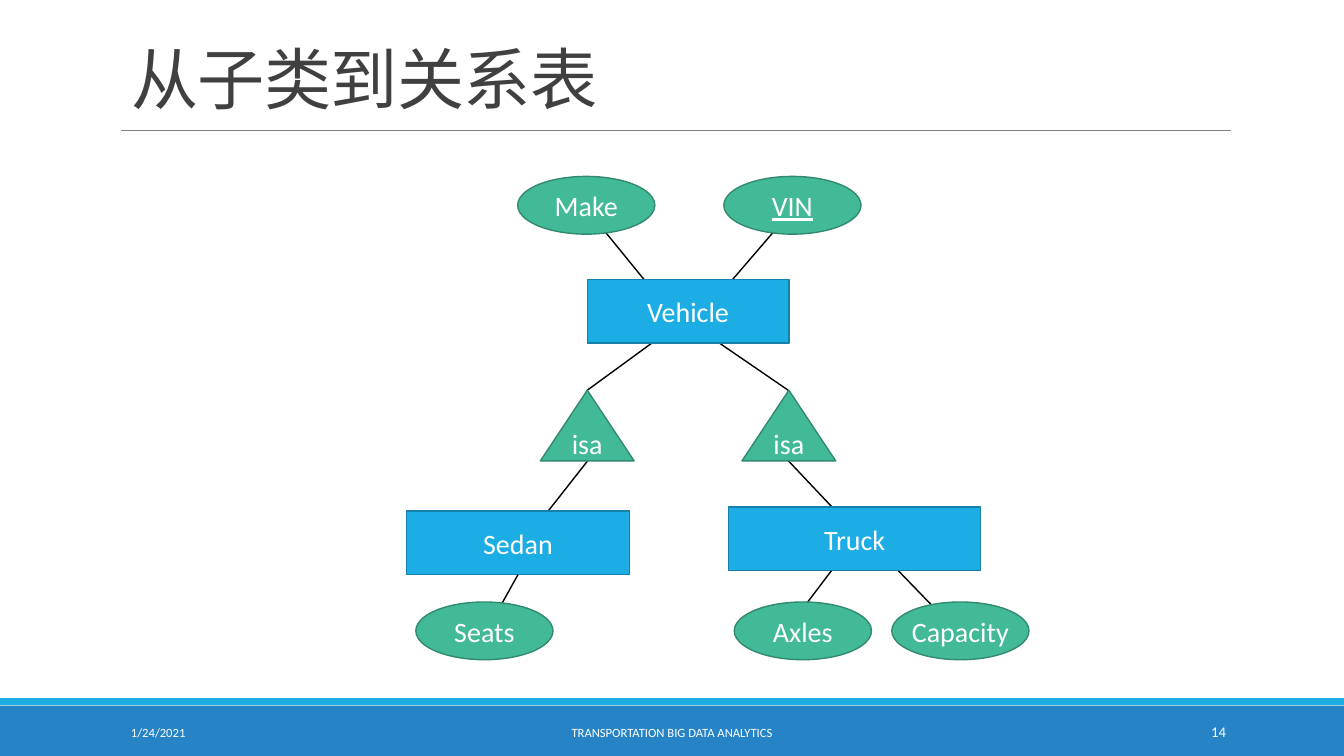
import pptx
import pptx.dml.color
import pptx.enum.shapes
import pptx.enum.text
import pptx.util
from lxml import etree
from pptx.oxml.ns import qn

Pt = pptx.util.Pt
SHAPES = pptx.enum.shapes.MSO_SHAPE
ALIGN = pptx.enum.text.PP_ALIGN
ANCHOR = pptx.enum.text.MSO_ANCHOR

SLIDE_W, SLIDE_H = 960, 540
BLUE, BLUE_EDGE = "1CADE4", "1580A9"
GREEN, GREEN_EDGE = "42BA97", "318A70"
FOOTER_BLUE, WHITE, BLACK = "2683C6", "FFFFFF", "000000"

ENTITY_H = 45.5
ATTRIBUTE_W, ATTRIBUTE_H = 98, 41.25
ISA_W, ISA_H, ISA_TOP = 67, 50.5, 278.75
TOP_ROW, BOTTOM_ROW = 126, 430

# name, left, top, width
ENTITIES = [("Sedan", 290.25, 365, 159.5), ("Truck", 520.5, 362.25, 180),
            ("Vehicle", 419.5, 199.5, 144)]
# name, left, top, is key
ATTRIBUTES = [("Make", 369.75, TOP_ROW, False), ("VIN", 517, TOP_ROW, True),
              ("Seats", 297, BOTTOM_ROW, False), ("Axles", 524.5, BOTTOM_ROW, False),
              ("Capacity", 637, BOTTOM_ROW, False)]
ISA_LEFTS = [386, 530]
# Each link runs on beneath the shapes it joins
LINKS = [((475, 218), (420, 150.5)), ((507.5, 218), (563, 153.5)),
         ((489, 228), (419.5, 278.75)), ((489, 228), (563, 278.75)),
         ((419.5, 329.5), (370, 392.5)), ((563, 329), (614, 383)),
         ((605, 393), (569, 440.5)), ((627, 392.5), (687, 454.5))]
SEATS_LINK = ((370, 410.5), (345.5, 454.5))


def rgb(hex_color):
    return pptx.dml.color.RGBColor.from_string(hex_color)


def add_run(paragraph, text, size, color=WHITE, underline=False):
    run = paragraph.add_run()
    run.text = text
    run.font.size = Pt(size)
    run.font.name = "Calibri"
    run.font.color.rgb = rgb(color)
    if underline:
        run.font.underline = True
    return run


def add_block(slide, kind, left, top, width, height, fill, edge=None):
    block = slide.shapes.add_shape(kind, Pt(left), Pt(top), Pt(width), Pt(height))
    block.shadow.inherit = False
    block.fill.solid()
    block.fill.fore_color.rgb = rgb(fill)
    if edge:
        block.line.color.rgb = rgb(edge)
        block.line.width = Pt(1)
    else:
        block.line.fill.background()
    return block


def add_node(slide, kind, name, bounds, fill, edge, underline=False):
    """Add a diagram shape with its name centred on one line."""
    node = add_block(slide, kind, *bounds, fill, edge)
    frame = node.text_frame
    frame.word_wrap = False
    frame.vertical_anchor = ANCHOR.MIDDLE
    label = frame.paragraphs[0]
    label.alignment = ALIGN.CENTER
    add_run(label, name, 20, underline=underline)
    return node


def add_line(slide, start, end, color=BLACK, width=1):
    line = slide.shapes.add_connector(
        pptx.enum.shapes.MSO_CONNECTOR.STRAIGHT, *map(Pt, start + end))
    line.line.color.rgb = rgb(color)
    line.line.width = Pt(width)
    etree.SubElement(line.element.spPr, qn("a:effectLst"))
    return line


def add_footer_text(slide, text, left, width, alignment, size=9):
    box = slide.shapes.add_textbox(Pt(left), Pt(508.5), Pt(width), Pt(28.75))
    frame = box.text_frame
    frame.word_wrap = True
    frame.vertical_anchor = ANCHOR.MIDDLE
    frame.paragraphs[0].alignment = alignment
    add_run(frame.paragraphs[0], text, size)


def set_title(slide, text):
    title = slide.shapes.title
    title.left, title.top, title.width, title.height = map(Pt, (86.5, 9.5, 792, 78.5))
    frame = title.text_frame
    frame.word_wrap = True
    frame.auto_size = pptx.enum.text.MSO_AUTO_SIZE.NONE
    frame.vertical_anchor = ANCHOR.BOTTOM
    heading = frame.paragraphs[0]
    heading.alignment = ALIGN.LEFT
    heading.line_spacing = 0.85
    run = add_run(heading, text, 48, "404040")
    run.font._element.set("spc", "-50")


def add_diagram(slide):
    for start, end in LINKS:
        add_line(slide, start, end)
    for left in ISA_LEFTS:
        add_node(slide, SHAPES.ISOSCELES_TRIANGLE, "isa",
                 (left, ISA_TOP, ISA_W, ISA_H), GREEN, GREEN_EDGE)
    entities = {}
    for name, left, top, width in ENTITIES:
        entities[name] = add_node(slide, SHAPES.RECTANGLE, name,
                                  (left, top, width, ENTITY_H), BLUE, BLUE_EDGE)
    add_line(slide, *SEATS_LINK).begin_connect(entities["Sedan"], 2)
    for name, left, top, is_key in ATTRIBUTES:
        add_node(slide, SHAPES.OVAL, name, (left, top, ATTRIBUTE_W, ATTRIBUTE_H),
                 GREEN, GREEN_EDGE, underline=is_key)


def main():
    deck = pptx.Presentation()
    deck.slide_width, deck.slide_height = Pt(SLIDE_W), Pt(SLIDE_H)
    slide = deck.slides.add_slide(deck.slide_layouts[5])

    add_block(slide, SHAPES.RECTANGLE, 0, 504, SLIDE_W, 36, FOOTER_BLUE)
    add_block(slide, SHAPES.RECTANGLE, 0, 498.75, SLIDE_W, 5, BLUE)
    add_line(slide, (86.5, 93), (879, 93), "808080", 0.5)
    set_title(slide, "从子类到关系表")
    add_diagram(slide)
    add_footer_text(slide, "1/24/2021", 86.5, 194.5, ALIGN.LEFT)
    add_footer_text(slide, "TRANSPORTATION BIG DATA ANALYTICS", 290.25, 379.5, ALIGN.CENTER)
    add_footer_text(slide, "14", 779.75, 103, ALIGN.RIGHT, 10.5)
    deck.save("out.pptx")


if __name__ == "__main__":
    main()
